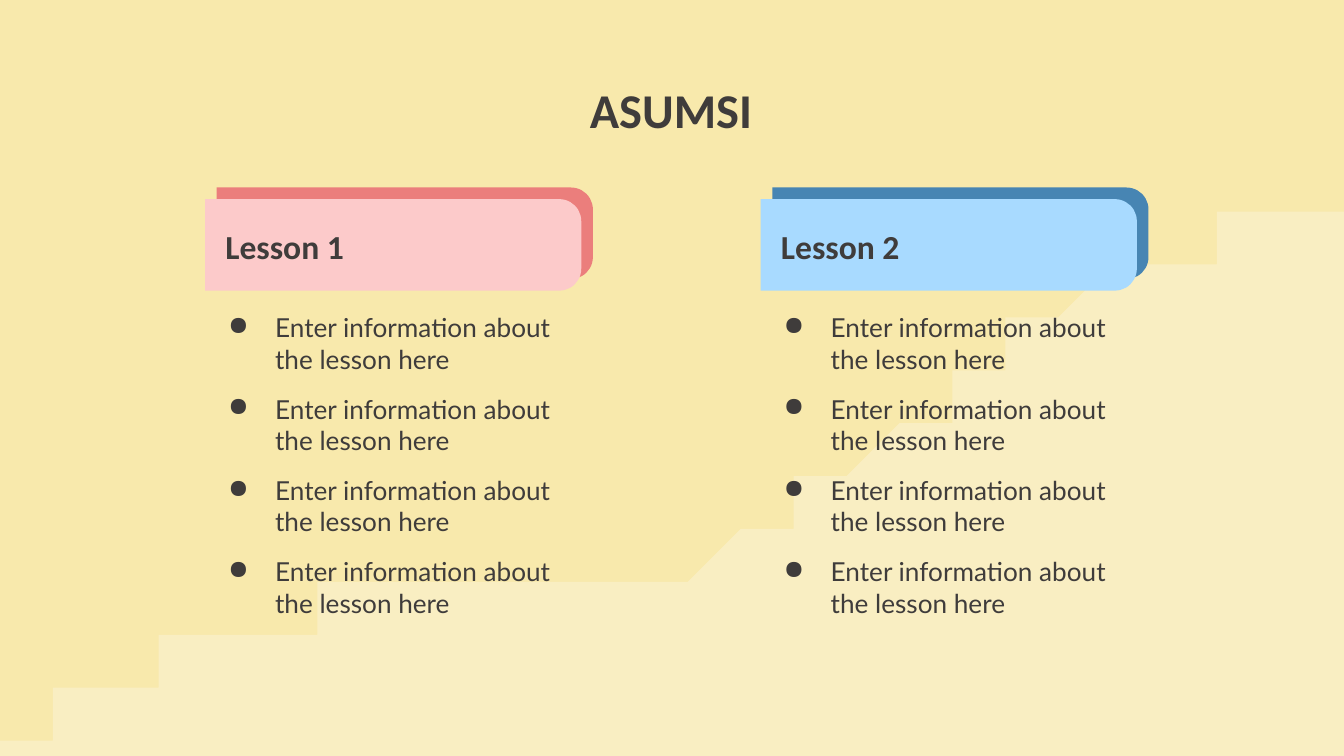
import pptx
import pptx.util
import pptx.dml.color
import pptx.enum.shapes
import pptx.enum.text
import lxml.etree
from pptx.util import Cm

INK = "3F3C3B"
A = "{http://schemas.openxmlformats.org/drawingml/2006/main}"


def paint(fill, color):
    fill.solid()
    fill.fore_color.rgb = pptx.dml.color.RGBColor.from_string(color)


def set_text(sp, lines, size, name, bold, anchor):
    tf = sp.text_frame
    tf.word_wrap = True
    tf.auto_size = pptx.enum.text.MSO_AUTO_SIZE.NONE
    tf.vertical_anchor = anchor
    tf.margin_left = tf.margin_right = tf.margin_top = tf.margin_bottom = Cm(0.25)
    tf.text = "\n".join(lines)
    for p in tf.paragraphs:
        p.font.size = pptx.util.Pt(size)
        p.font.name = name
        p.font.bold = bold
        paint(p.font.fill, INK)
    return tf


prs = pptx.Presentation()
prs.slide_width, prs.slide_height = Cm(25.4), Cm(14.29)
slide = prs.slides.add_slide(prs.slide_layouts[5])
shapes = slide.shapes
paint(slide.background.fill, "F8E9AC")
TOP = pptx.enum.text.MSO_ANCHOR.TOP
BOTTOM = pptx.enum.text.MSO_ANCHOR.BOTTOM

# Title
title = shapes.title
title.left, title.top, title.width, title.height = Cm(1.42), Cm(1.57), Cm(22.53), Cm(1.3)
tf = set_text(title, ["ASUMSI"], 26, "Calibri", True, BOTTOM)
tf.paragraphs[0].alignment = pptx.enum.text.PP_ALIGN.CENTER

# Pale wave: Bezier segments (two controls and an end, in cm) traced as short lines
curves = [
    [(25.4, 3.81), (25.27, 3.84), (25.17, 3.86)],
    [(22.38, 4.5), (19.71, 5.69), (17.5, 7.54)],
    [(16.43, 8.41), (15.44, 9.4), (14.25, 10.13)],
    [(13.06, 10.9), (11.66, 11.02), (10.26, 11.05)],
    [(8.81, 11.07), (7.37, 11.18), (5.94, 11.51)],
    [(4.57, 11.81), (3.23, 12.32), (1.98, 13.0)],
    [(1.24, 13.44), (0.53, 13.97), (-0.1, 14.55)],
]
STEPS = 16
start = (25.5, 3.78)
points = [start]
for c1, c2, end in curves:
    for i in range(1, STEPS + 1):
        t = i / STEPS
        u = 1 - t
        points.append(tuple(
            u**3 * a + 3 * u * u * t * b + 3 * u * t * t * c + t**3 * d
            for a, b, c, d in zip(start, c1, c2, end)))
    start = end
points += [(-0.1, 16.84), (25.5, 16.84)]
builder = shapes.build_freeform(*points[0], scale=Cm(1))
builder.add_line_segments(points[1:], close=True)
wave = builder.convert_to_shape()
wave.shadow.inherit = False
wave.line.fill.background()
paint(wave.fill, "FFFFFF")
color = wave.fill._xPr.find(f"{A}solidFill/{A}srgbClr")
lxml.etree.SubElement(color, A + "alpha", val="27000")

# Lesson columns
COLUMN_STEP = 10.5
TAB_W, TAB_H = 1.73, 7.11
lessons = [("Lesson 1", "EB7E7C", "FCCACA"), ("Lesson 2", "4785B3", "A8DAFF")]
for n, (heading, dark, light) in enumerate(lessons):
    dx = n * COLUMN_STEP

    # Two overlapping tabs, placed by their centres
    for cx, cy, tab_color in [(7.65, 4.41, dark), (7.43, 4.63, light)]:
        sp = shapes.add_shape(
            pptx.enum.shapes.MSO_SHAPE.ROUND_2_SAME_RECTANGLE,
            Cm(cx + dx - TAB_W / 2), Cm(cy - TAB_H / 2), Cm(TAB_W), Cm(TAB_H))
        sp.rotation = 90
        sp.adjustments[0] = 0.24
        sp.shadow.inherit = False
        sp.line.fill.background()
        paint(sp.fill, tab_color)

    # Heading
    sp = shapes.add_textbox(Cm(4.01 + dx), Cm(3.99), Cm(6.83), Cm(1.3))
    set_text(sp, [heading], 18, "Calibri", True, BOTTOM)

    # Bulleted list
    sp = shapes.add_textbox(Cm(3.68 + dx), Cm(5.64), Cm(7.52), Cm(7.11))
    tf = set_text(sp, ["Enter information about the lesson here"] * 4, 14, "Lato", False, TOP)
    for p in tf.paragraphs:
        p.space_before = pptx.util.Pt(10)
        pPr = p._p.get_or_add_pPr()
        pPr.set("marL", str(Cm(1.27)))
        pPr.set("indent", str(-Cm(0.89)))
        bullet = lxml.etree.Element(A + "buChar", char="●")
        pPr.find(A + "defRPr").addprevious(bullet)

prs.save("out.pptx")
